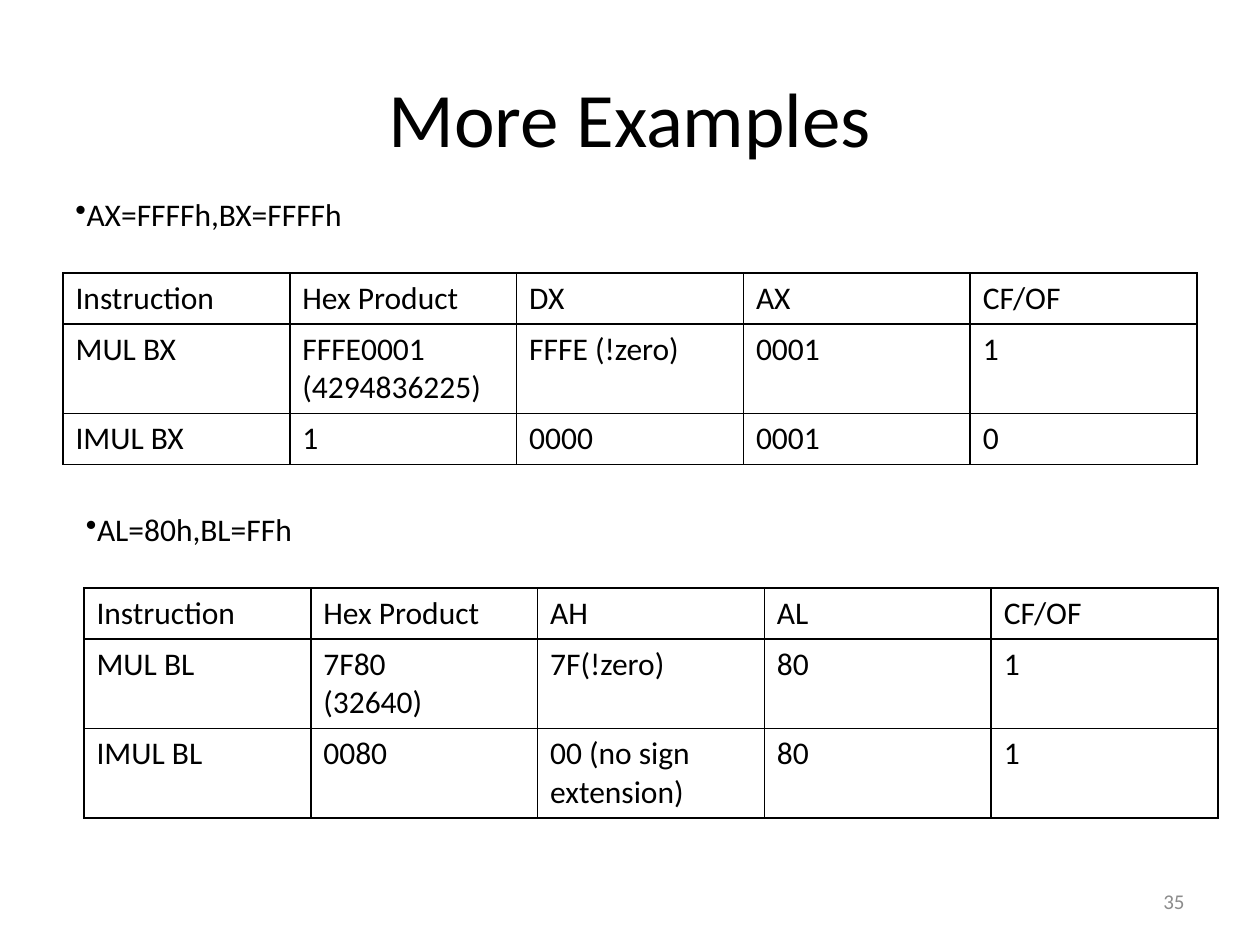
from dataclasses import dataclass
from typing import Any

from lxml import etree
from pptx import Presentation
from pptx import util as u
from pptx.dml import color
from pptx.enum import text
from pptx.oxml import ns

CELL = u.Inches(1 / 12)
LINE_ROWS, PADDING_ROWS = 3.66, 1.2


def paint(value):
    return color.RGBColor.from_string(value)


def write(frame, content, size=18, ink="000000", font="Calibri",
          align=text.PP_ALIGN.LEFT, bullet=None):
    for index, line in enumerate(content.split("\n")):
        para = frame.paragraphs[0] if index == 0 else frame.add_paragraph()
        para.alignment = align
        if bullet:
            mark = etree.SubElement(para._p.get_or_add_pPr(), ns.qn("a:buChar"))
            mark.set("char", bullet)
        span = para.add_run()
        span.text = line
        span.font.size = u.Pt(size)
        span.font.name = font
        span.font.color.rgb = paint(ink)


@dataclass
class Sheet:
    page: Any
    border: str = "000000"
    border_width: float = 1

    def label(self, column, row, columns, rows, content,
              anchor=text.MSO_ANCHOR.TOP, **style):
        place = [round(n * CELL) for n in (column, row, columns, rows)]
        frame = self.page.shapes.add_textbox(*place).text_frame
        frame.word_wrap = True
        frame.vertical_anchor = anchor
        write(frame, content, **style)

    def outline(self, cell):
        properties = cell._tc.get_or_add_tcPr()
        for index, side in enumerate(("lnL", "lnR", "lnT", "lnB")):
            line = etree.Element(ns.qn(f"a:{side}"), w=str(u.Pt(self.border_width)))
            fill = etree.SubElement(line, ns.qn("a:solidFill"))
            etree.SubElement(fill, ns.qn("a:srgbClr"), val=self.border)
            properties.insert(index, line)

    def table(self, column, row, columns, line_counts, records):
        heights = [round((n * LINE_ROWS + PADDING_ROWS) * CELL) for n in line_counts]
        grid = self.page.shapes.add_table(
            len(records), len(records[0]), round(column * CELL), round(row * CELL),
            round(columns * CELL), sum(heights)).table
        grid.first_row = grid.horz_banding = False
        for index, (height, record) in enumerate(zip(heights, records)):
            grid.rows[index].height = height
            for position, content in enumerate(record):
                cell = grid.cell(index, position)
                cell.fill.background()
                write(cell.text_frame, content)
                self.outline(cell)


def main():
    deck = Presentation()
    deck.slide_width, deck.slide_height = 120 * CELL, 90 * CELL
    sheet = Sheet(deck.slides.add_slide(deck.slide_layouts[6]))
    middle = text.MSO_ANCHOR.MIDDLE

    sheet.label(6, 3.6, 108, 15, "More Examples", anchor=middle,
                size=44, align=text.PP_ALIGN.CENTER)
    sheet.table(6, 26, 108, (1, 2, 1), [
        ("Instruction", "Hex Product", "DX", "AX", "CF/OF"),
        ("MUL BX", "FFFE0001\n(4294836225)", "FFFE (!zero)", "0001", "1"),
        ("IMUL BX", "1", "0000", "0001", "0"),
    ])
    sheet.label(6, 18, 29, 4.8, "AX=FFFFh,BX=FFFFh", bullet="•")
    sheet.label(7, 48, 29, 4.8, "AL=80h,BL=FFh", bullet="•")
    sheet.table(8, 56, 108, (1, 2, 2), [
        ("Instruction", "Hex Product", "AH", "AL", "CF/OF"),
        ("MUL BL", "7F80\n(32640)", "7F(!zero)", "80", "1"),
        ("IMUL BL", "0080", "00 (no sign extension)", "80", "1"),
    ])
    sheet.label(86, 83.4, 28, 4.8, "35", anchor=middle,
                size=12, ink="8C8C8C", align=text.PP_ALIGN.RIGHT)
    deck.save("out.pptx")


if __name__ == "__main__":
    main()
